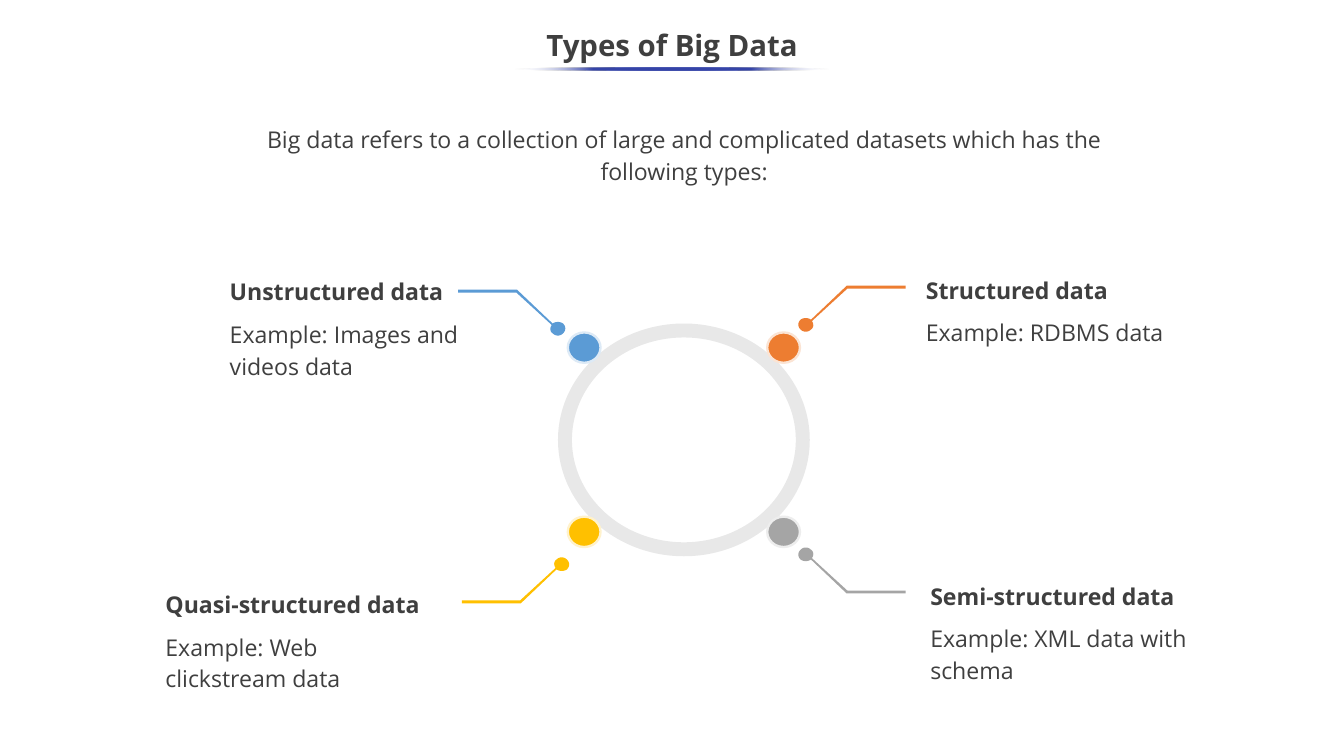
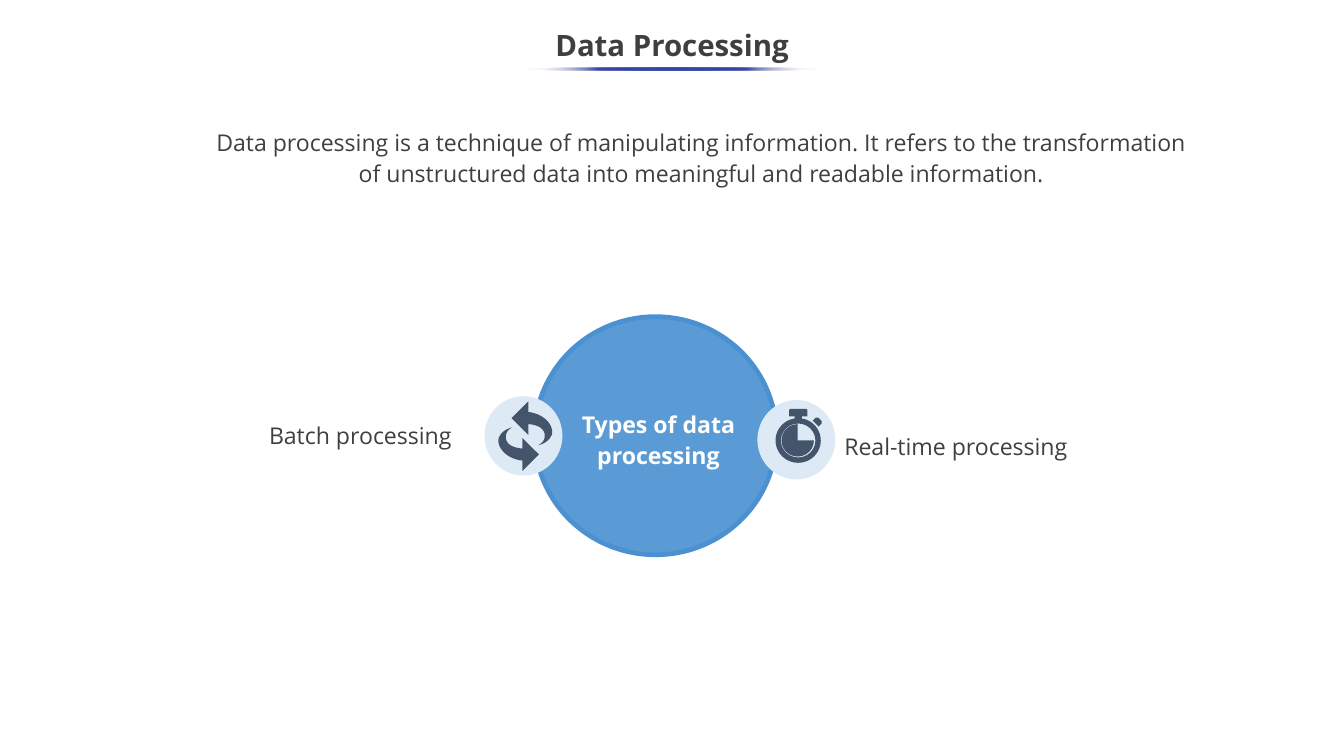
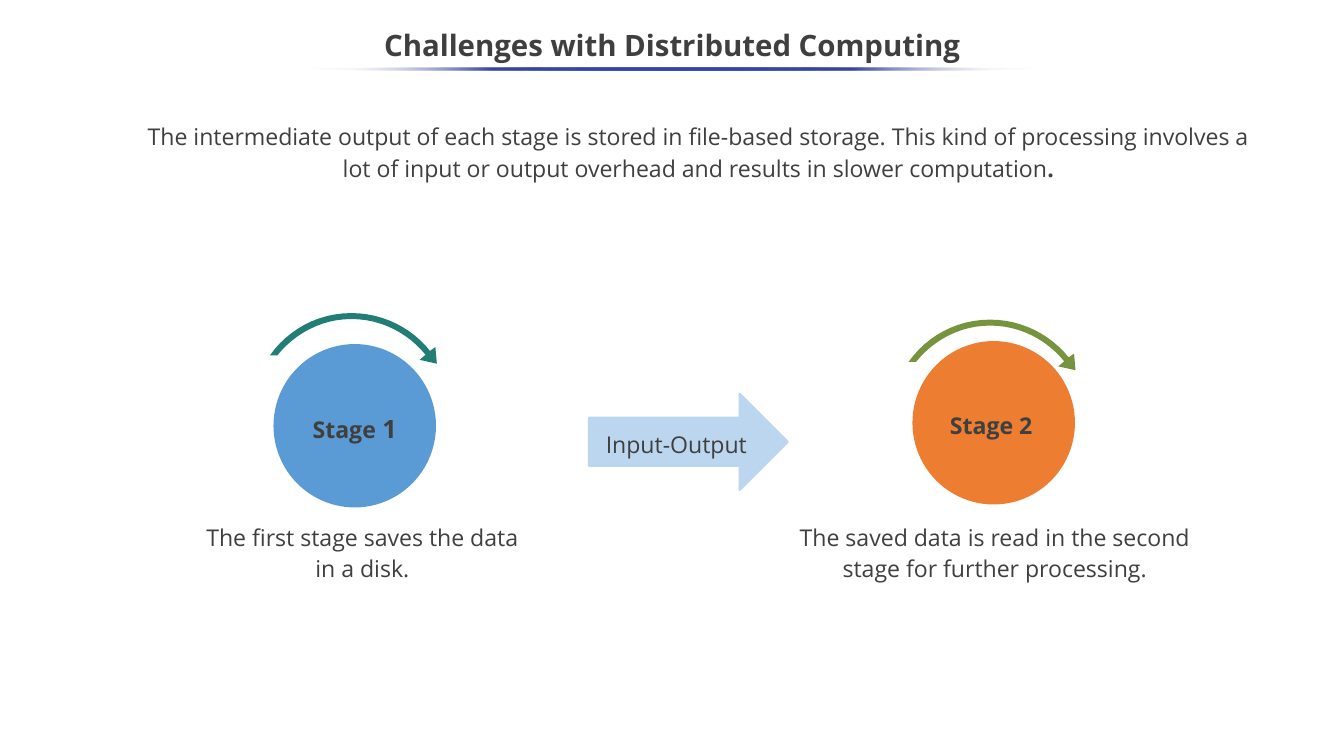
from pptx import Presentation
from pptx.dml.color import RGBColor as RGB
from pptx.enum.shapes import MSO_SHAPE as SHAPE
from pptx.enum.text import MSO_ANCHOR as ANCHOR, PP_ALIGN as ALIGN
from pptx.oxml import parse_xml
from pptx.oxml.ns import nsdecls
from pptx.util import Cm, Pt

FONT = "Open Sans"
COLORS = {
    "text": "3F3F3F", "white": "FFFFFF", "rule": "3645A9", "ring": "E8E8E8",
    "blue": "5B9BD5", "blue_edge": "4B91D1", "blue_pale": "DDEAF6", "flow": "BBD6EE",
    "orange": "ED7D31", "orange_pale": "FBE4D4", "yellow": "FFC000", "yellow_pale": "FFF2CC",
    "gray": "A5A5A5", "gray_pale": "EDEDED", "icon": "44546A",
    "teal": "217E75", "green": "76933D",
}
SLIDE_W, SLIDE_H = 45.16, 25.4
RULE_STOPS = [(0, "white", 0), (25, "rule", 100), (50, "rule", 100),
              (75, "rule", 100), (100, "white", 0)]

# Outlines in cm: a pair is a straight step, six numbers are a cubic curve
CALLOUT = [(0, 0), (1.98, 0), (3.18, 1.14), (3.28, 1.07, 3.43, 1.07, 3.53, 1.14),
           (3.63, 1.24, 3.63, 1.37, 3.53, 1.47), (3.43, 1.57, 3.28, 1.57, 3.18, 1.47),
           (3.1, 1.42, 3.07, 1.3, 3.15, 1.19), (1.96, 0.1), (0, 0.1)]
CYCLE_ARROW = [(0.25, -0.79), (0.2, -0.81, 0.15, -0.81, 0.1, -0.81), (0.1, -1.17),
               (-0.46, -0.61), (0.1, -0.05), (0.1, -0.41),
               (0.53, -0.38, 0.71, -0.18, 0.64, 0.08), (0.61, 0.18, 0.53, 0.25, 0.43, 0.3),
               (0.66, 0.25, 0.81, 0.13, 0.89, -0.05), (0.97, -0.33, 0.69, -0.69, 0.25, -0.79)]
WATCH_BUTTON = [(0.3, 0.15), (0.18, 0.03), (0.1, 0.03), (0, 0.13), (0.2, 0.33), (0.3, 0.23)]
ARC_ARROW = [(5.61, 1.7), (5.56, 1.14), (5.38, 1.27), (4.78, 0.51, 3.81, 0, 2.74, 0),
             (1.6, 0, 0.61, 0.56, 0, 1.42), (0.25, 1.42), (0.84, 0.69, 1.73, 0.2, 2.74, 0.2),
             (3.76, 0.2, 4.65, 0.69, 5.23, 1.4), (5.03, 1.57)]
CURVE_STEPS = 12


def draw(s, kind, box, color, line=None, width=0):
    sp = s.shapes.add_shape(kind, *map(Cm, box))
    sp.shadow.inherit = False
    sp.fill.solid()
    sp.fill.fore_color.rgb = RGB.from_string(COLORS[color])
    if line:
        sp.line.color.rgb = RGB.from_string(COLORS[line])
        sp.line.width = Pt(width)
    else:
        sp.line.fill.background()
    return sp


def write(sp, text, align=ALIGN.CENTER, anchor=ANCHOR.MIDDLE, size=22, bold=False,
          color="text", spacing=1.15):
    """Fill a shape with text, one paragraph per line, and return its text frame."""
    tf = sp.text_frame
    tf.word_wrap = True
    tf.vertical_anchor = anchor
    tf.text = text
    for i, p in enumerate(tf.paragraphs):
        p.alignment = align
        p.line_spacing = spacing
        if i:
            p.space_before = Pt(10)
        for r in p.runs:
            r.font.name = FONT
            r.font.size = Pt(size)
            r.font.bold = bold
            r.font.color.rgb = RGB.from_string(COLORS[color])
    return tf


prs = Presentation()
prs.slide_width, prs.slide_height = Cm(SLIDE_W), Cm(SLIDE_H)

# Title, rule and introduction of every slide
pages = [
    ("Types of Big Data", 10.59, (8.13, 4.04, 29.72, 2.21),
     "Big data refers to a collection of large and complicated datasets which has the "
     "following types:"),
    ("Data Processing", 9.83, (6.68, 3.3, 33.76, 3.86),
     "Data processing is a technique of manipulating information. It refers to the "
     "transformation of unstructured data into meaningful and readable information."),
    ("Challenges with Distributed Computing", 24.21, (4.62, 3.71, 37.69, 2.67),
     "The intermediate output of each stage is stored in file-based storage. This kind of "
     "processing involves a lot of input or output overhead and results in slower "
     "computation."),
]
stops = "".join(
    f'<a:gs pos="{pos * 1000}"><a:srgbClr val="{COLORS[name]}">'
    f'<a:alpha val="{alpha * 1000}"/></a:srgbClr></a:gs>' for pos, name, alpha in RULE_STOPS)
for title, rule_w, intro_box, intro in pages:
    s = prs.slides.add_slide(prs.slide_layouts[6])
    write(s.shapes.add_textbox(0, Cm(0.64), Cm(SLIDE_W), Cm(1.9)), title,
          size=28, bold=True, spacing=0.9)
    rule = draw(s, SHAPE.OVAL, ((SLIDE_W - rule_w) / 2, 2.26, rule_w, 0.1), "rule")
    solid = rule.element.spPr.find("{*}solidFill")
    solid.getparent().replace(solid, parse_xml(
        f'<a:gradFill {nsdecls("a")} rotWithShape="1"><a:gsLst>{stops}</a:gsLst>'
        '<a:lin ang="10800000" scaled="0"/></a:gradFill>'))
    intro_tf = write(s.shapes.add_textbox(*map(Cm, intro_box)), intro)
types, processing, challenges = prs.slides

# The last introduction ends in a bold full stop
p = intro_tf.paragraphs[0]
p.runs[0].text = p.runs[0].text[:-1]
r = p.add_run()
r.text = "."
r.font.name, r.font.size, r.font.bold = FONT, Pt(22), True
r.font.color.rgb = RGB.from_string(COLORS["text"])

outlines = []  # slide, outline, origin, x and y direction, colour

# Types of Big Data: ring with a dot, a callout and a label per type
ring = draw(types, SHAPE.DONUT, (18.75, 10.87, 8.46, 7.82), "ring")
ring.adjustments[0] = 0.06
DOT_W, DOT_H = 1.1, 1.02
data_types = [
    ("Unstructured data\nExample: Images and videos data", "blue",
     (19.63, 11.68), (15.39, 9.73), (1, 1), (7.47, 9.07)),
    ("Structured data\nExample: RDBMS data", "orange",
     (26.33, 11.68), (30.43, 9.6), (-1, 1), (30.86, 9.02)),
    ("Quasi-structured data\nExample: Web clickstream data", "yellow",
     (19.63, 17.87), (15.52, 20.27), (1, -1), (5.31, 19.58)),
    ("Semi-structured data\nExample: XML data with schema", "gray",
     (26.33, 17.87), (30.43, 19.94), (-1, -1), (31.01, 19.3)),
]
for label, color, (x, y), callout_at, direction, label_at in data_types:
    draw(types, SHAPE.OVAL, (x - DOT_W / 2, y - DOT_H / 2, DOT_W, DOT_H), color,
         color + "_pale", 2.25)
    outlines.append((types, CALLOUT, callout_at, direction, color))
    tf = write(types.shapes.add_textbox(*map(Cm, (*label_at, 9.6, 3.9))), label,
               ALIGN.LEFT, ANCHOR.TOP)
    tf.paragraphs[0].runs[0].font.bold = True

# Data Processing: hub with two icon discs
draw(processing, SHAPE.OVAL, (17.96, 10.64, 8.13, 8), "blue", "blue_edge", 4.5)
write(processing.shapes.add_textbox(*map(Cm, (17.58, 13.51, 9.09, 2.41))),
      "Types of data processing", anchor=ANCHOR.TOP, bold=True, color="white")
for label, label_at, disc_at in [
    ("Batch processing", (8.79, 13.89), (16.28, 13.31)),
    ("Real-time processing", (28.12, 14.27), (25.45, 13.44)),
]:
    write(processing.shapes.add_textbox(*map(Cm, (*label_at, 8.74, 1.27))), label,
          ALIGN.LEFT, ANCHOR.TOP)
    draw(processing, SHAPE.OVAL, (*disc_at, 2.62, 2.67), "blue_pale")
for turn in (1, -1):
    outlines.append((processing, CYCLE_ARROW, (17.65, 14.66), (turn, turn), "icon"))

# Stopwatch
case = draw(processing, SHAPE.DONUT, (26.06, 14.05, 1.52, 1.5), "icon")
case.adjustments[0] = 0.12
for kind, box in [
    (SHAPE.PIE, (26.26, 14.25, 1.09, 1.09)),
    (SHAPE.ROUND_2_SAME_RECTANGLE, (26.52, 13.74, 0.61, 0.25)),
    (SHAPE.RECTANGLE, (26.7, 13.95, 0.25, 0.15)),
]:
    draw(processing, kind, box, "icon")
outlines.append((processing, WATCH_BUTTON, (27.31, 14), (1, 1), "icon"))

# Challenges: two stages joined by a block arrow
stages = [
    ("blue", (9.19, 11.56), "teal", (9.07, 10.52),
     "The first stage saves the data in a disk.", (6.5, 17.3, 11.35, 2.41)),
    ("orange", (30.66, 11.46), "green", (30.53, 10.74),
     "The saved data is read in the second stage for further processing.",
     (26.39, 17.3, 14.07, 2.41)),
]
for color, disc_at, arc_color, arc_at, caption, caption_box in stages:
    draw(challenges, SHAPE.OVAL, (*disc_at, 5.46, 5.49), color)
    outlines.append((challenges, ARC_ARROW, arc_at, (1, 1), arc_color))
    write(challenges.shapes.add_textbox(*map(Cm, caption_box)), caption)
tf = write(challenges.shapes.add_textbox(*map(Cm, (9.19, 13.59, 5.46, 1.45))), "Stage",
           bold=True)
r = tf.paragraphs[0].add_run()
r.text = " 1"
r.font.name, r.font.size, r.font.bold = FONT, Pt(24), True
r.font.color.rgb = RGB.from_string(COLORS["text"])
write(challenges.shapes.add_textbox(*map(Cm, (31.67, 13.56, 4.47, 1.35))), "Stage 2",
      ALIGN.LEFT, bold=True)
flow = draw(challenges, SHAPE.RIGHT_ARROW, (19.79, 13.23, 6.68, 3.23), "flow", "flow", 2)
write(flow, "Input-Output")

# Trace the collected outlines
for s, outline, (left, top), (dx, dy), color in outlines:
    points = [outline[0]]
    for step in outline[1:]:
        if len(step) == 2:
            points.append(step)
            continue
        x0, y0 = points[-1]
        x1, y1, x2, y2, x3, y3 = step
        for i in range(1, CURVE_STEPS + 1):
            t = i / CURVE_STEPS
            a, b, c, d = (1 - t) ** 3, 3 * t * (1 - t) ** 2, 3 * t * t * (1 - t), t ** 3
            points.append((a * x0 + b * x1 + c * x2 + d * x3,
                           a * y0 + b * y1 + c * y2 + d * y3))
    points = [(Cm(left + dx * x), Cm(top + dy * y)) for x, y in points]
    builder = s.shapes.build_freeform(*points[0])
    builder.add_line_segments(points[1:], close=True)
    sp = builder.convert_to_shape()
    sp.shadow.inherit = False
    sp.fill.solid()
    sp.fill.fore_color.rgb = RGB.from_string(COLORS[color])
    sp.line.fill.background()

prs.save("out.pptx")
